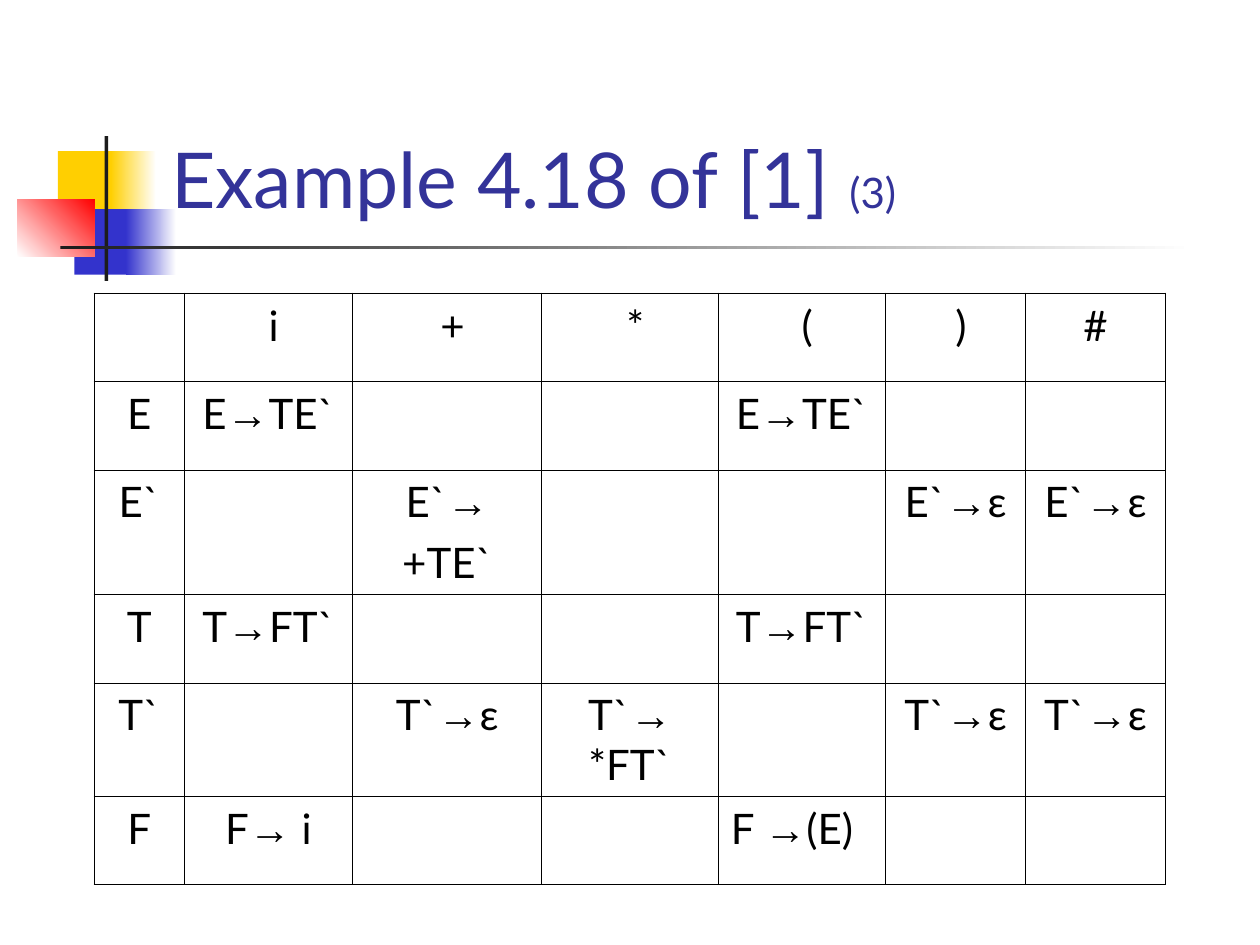
from dataclasses import dataclass

from lxml import etree
from pptx import Presentation
from pptx.dml.color import RGBColor
from pptx.enum.shapes import MSO_SHAPE
from pptx.enum.text import MSO_ANCHOR, PP_ALIGN
from pptx.oxml.ns import qn
from pptx.util import Inches, Pt

RECT = MSO_SHAPE.RECTANGLE
BOTTOM = MSO_ANCHOR.BOTTOM
LEFT, CENTER = PP_ALIGN.LEFT, PP_ALIGN.CENTER


@dataclass(frozen=True)
class Theme:
    yellow: str = "FFCF01"
    blue: str = "3333CC"
    red: str = "FF0000"
    dark: str = "1C1C1C"
    white: str = "FFFFFF"
    title: str = "333399"
    text: str = "000000"
    font: str = "Lato"
    arrow_font: str = "Arial"
    title_size: int = 44
    body_size: int = 24
    outer_line: float = 1.08
    inner_line: float = 0.45


theme = Theme()


def add_run(p, text, size, color, font=theme.font):
    r = p.add_run()
    r.text = text
    r.font.name = font
    r.font.size = Pt(size)
    r.font.color.rgb = RGBColor.from_string(color)


def add_border(cell, side, width):
    ln = etree.SubElement(cell._tc.get_or_add_tcPr(), qn(f"a:ln{side}"), w=str(Pt(width)))
    fill = etree.SubElement(ln, qn("a:solidFill"))
    etree.SubElement(fill, qn("a:srgbClr"), val=theme.text)


prs = Presentation()
prs.slide_width, prs.slide_height = Inches(10), Inches(7.5)
s = prs.slides.add_slide(prs.slide_layouts[6])

# Corner ornament: left, top, width, height, start colour, end colour, angle
ornament = [
    (0.46, 1.2, 0.48, 0.52, theme.yellow, None, 0),
    (0.88, 1.2, 0.36, 0.52, theme.yellow, theme.white, 0),
    (0.59, 1.66, 0.46, 0.52, theme.blue, None, 0),
    (1, 1.66, 0.4, 0.52, theme.blue, theme.white, 0),
    (0.14, 1.58, 0.61, 0.46, theme.white, theme.red, 45),
    (0.83, 1.08, 0.03, 1.15, theme.dark, None, 0),
    (0.48, 1.95, 9, 0.03, theme.dark, theme.white, 0),
]
for left, top, width, height, start, end, angle in ornament:
    sp = s.shapes.add_shape(RECT, Inches(left), Inches(top), Inches(width), Inches(height))
    sp.shadow.inherit = False
    sp.line.fill.background()
    if end:
        sp.fill.gradient()
        sp.fill.gradient_angle = angle
        for stop, color in zip(sp.fill.gradient_stops, (start, end)):
            stop.color.rgb = RGBColor.from_string(color)
    else:
        sp.fill.solid()
        sp.fill.fore_color.rgb = RGBColor.from_string(start)

# Title
tf = s.shapes.add_textbox(Inches(1.26), Inches(0.23), Inches(8.52), Inches(1.6)).text_frame
tf.word_wrap = True
tf.vertical_anchor = BOTTOM
p = tf.paragraphs[0]
add_run(p, "Example 4.18 of [1] ", theme.title_size, theme.title)
add_run(p, "(3)", theme.body_size, theme.title)

# Parsing table; a line break starts a new paragraph
rows = [
    ["", " i", " +", " *", " (", " )", "#"],
    ["E", "E→TE`", "", "", "E→TE`", "", ""],
    ["E`", "", "E`→\n+TE`", "", "", "E`→ε", "E`→ε"],
    ["T", "T→FT`", "", "", "T→FT`", "", ""],
    ["T`", "", "T`→ε", "T`→ *FT`", "", "T`→ε", "T`→ε"],
    ["F", "F→ i", "", "", "F →(E)", "", ""],
]
col_widths = [0.71, 1.34, 1.5, 1.4, 1.33, 1.11, 1.11]
row_heights = [0.7, 0.7, 0.99, 0.7, 0.9, 0.7]
last_row, last_col = len(rows) - 1, len(col_widths) - 1

table = s.shapes.add_table(len(rows), len(col_widths), Inches(0.75), Inches(2.33),
                           Inches(sum(col_widths)), Inches(sum(row_heights))).table
table.first_row = table.horz_banding = False
for col, width in zip(table.columns, col_widths):
    col.width = Inches(width)
for row, height in zip(table.rows, row_heights):
    row.height = Inches(height)

for i, row in enumerate(rows):
    for j, text in enumerate(row):
        cell = table.cell(i, j)
        outer_edges = {"L": j == 0, "R": j == last_col, "T": i == 0, "B": i == last_row}
        for side, outer in outer_edges.items():
            add_border(cell, side, theme.outer_line if outer else theme.inner_line)
        cell.fill.background()

        tf = cell.text_frame
        for n, line in enumerate(text.split("\n")):
            p = tf.add_paragraph() if n else tf.paragraphs[0]
            p.alignment = LEFT if text == "F →(E)" else CENTER
            if n:
                p.space_before = Pt(6)
            for part in line.partition("→"):
                if part:
                    font = theme.arrow_font if part == "→" else theme.font
                    add_run(p, part, theme.body_size, theme.text, font)

prs.save("out.pptx")
